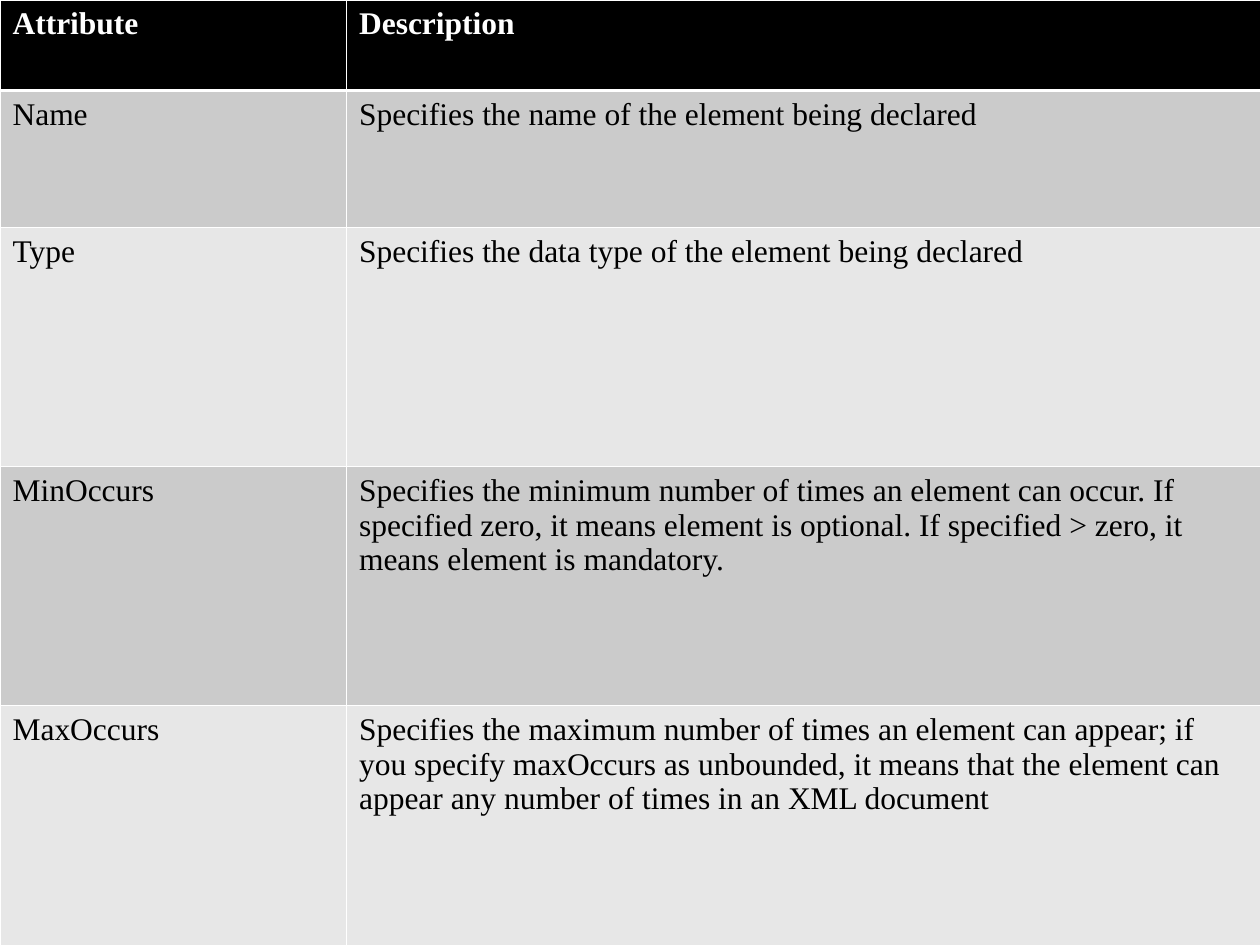
from dataclasses import dataclass

from lxml.etree import SubElement
from pptx import Presentation
from pptx.dml.color import RGBColor
from pptx.oxml.ns import qn
from pptx.util import Inches, Pt


@dataclass(frozen=True)
class Theme:
    font: str = "Times New Roman"
    text_size: float = 18
    header_fill: str = "000000"
    header_text: str = "FFFFFF"
    body_text: str = "000000"
    bands: tuple = ("CBCBCB", "E7E7E7")
    rule: str = "FFFFFF"
    thin: float = 0.45
    thick: float = 1.47


class SlideBuilder:
    def __init__(self, deck, theme):
        self.deck = deck
        self.theme = theme
        self.page = deck.slides.add_slide(deck.slide_layouts[6])

    def border(self, cell, side, width):
        properties = cell._tc.get_or_add_tcPr()
        line = SubElement(properties, qn(f"a:ln{side}"), w=str(int(Pt(width))))
        fill = SubElement(line, qn("a:solidFill"))
        SubElement(fill, qn("a:srgbClr"), val=self.theme.rule)

    def cell(self, cell, text, row):
        theme = self.theme
        header = row == 0
        # Borders come before the fill in the cell properties
        for side in "LRTB":
            under_header = (row, side) in ((0, "B"), (1, "T"))
            self.border(cell, side, theme.thick if under_header else theme.thin)
        cell.fill.solid()
        fill = theme.header_fill if header else theme.bands[(row - 1) % 2]
        cell.fill.fore_color.rgb = RGBColor.from_string(fill)

        span = cell.text_frame.paragraphs[0].add_run()
        span.text = text
        span.font.name = theme.font
        span.font.size = Pt(theme.text_size)
        span.font.bold = header
        color = theme.header_text if header else theme.body_text
        span.font.color.rgb = RGBColor.from_string(color)

    def table(self, rows, column_shares, row_weights):
        width, height = self.deck.slide_width, self.deck.slide_height
        frame = self.page.shapes.add_table(
            len(rows), len(column_shares), 0, 0, width, height)
        table = frame.table
        for column, share in zip(table.columns, column_shares):
            column.width = int(width * share)
        for row, weight in zip(table.rows, row_weights):
            row.height = int(height * weight / sum(row_weights))
        for row, texts in enumerate(rows):
            for column, text in enumerate(texts):
                self.cell(table.cell(row, column), text, row)


ATTRIBUTES = [
    ("Attribute", "Description"),
    ("Name", "Specifies the name of the element being declared"),
    ("Type", "Specifies the data type of the element being declared"),
    ("MinOccurs",
     "Specifies the minimum number of times an element can occur. "
     "If specified zero, it means element is optional. "
     "If specified > zero, it means element is mandatory."),
    ("MaxOccurs",
     "Specifies the maximum number of times an element can appear; "
     "if you specify maxOccurs as unbounded, it means that the element "
     "can appear any number of times in an XML document"),
]


def main():
    deck = Presentation()
    deck.slide_width, deck.slide_height = Inches(10), Inches(7.5)

    # Full-page table of element attributes
    builder = SlideBuilder(deck, Theme())
    builder.table(ATTRIBUTES, column_shares=(0.275, 0.725),
                  row_weights=(0.72, 1.09, 1.9, 1.9, 1.9))
    deck.save("out.pptx")


if __name__ == "__main__":
    main()
